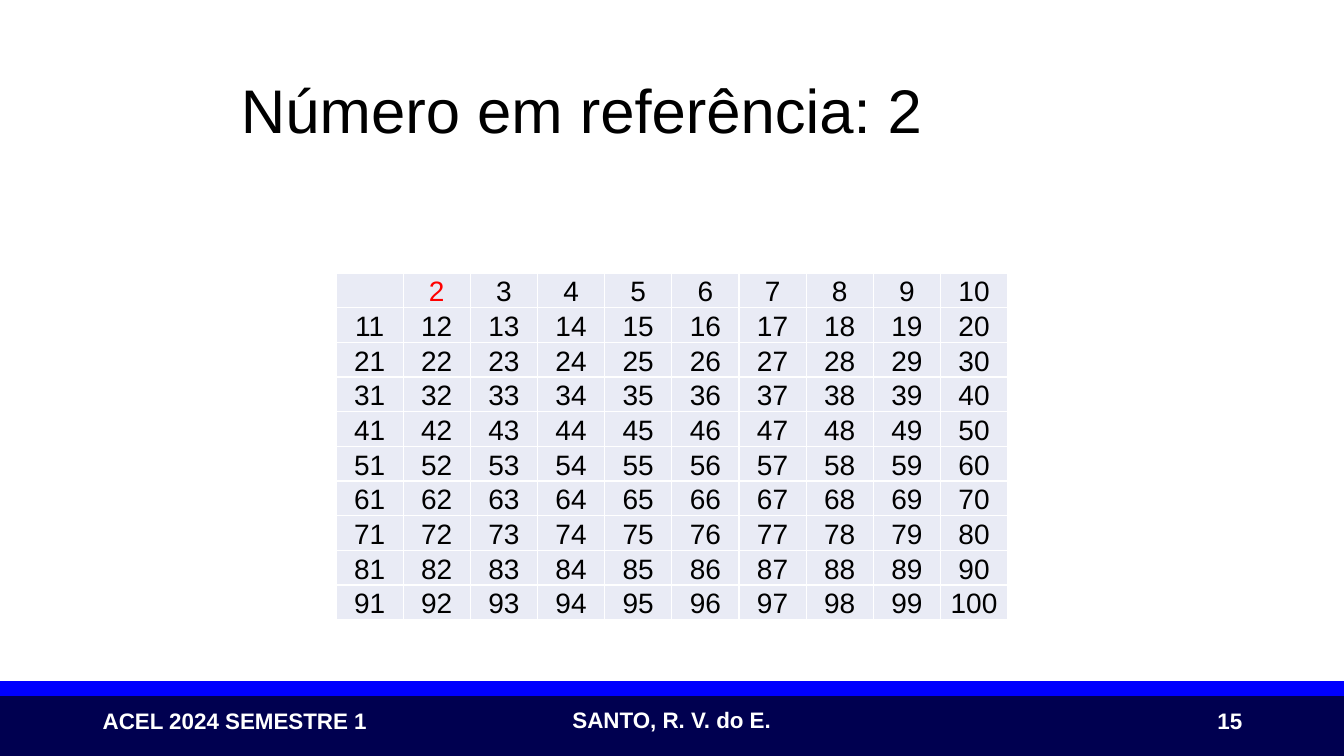
from pptx import Presentation
from pptx.dml.color import RGBColor
from pptx.enum.shapes import MSO_SHAPE
from pptx.enum.text import MSO_ANCHOR as Anchor, MSO_AUTO_SIZE as AutoSize, PP_ALIGN as Align
from pptx.oxml import parse_xml
from pptx.oxml.ns import nsdecls
from pptx.util import Inches, Pt

WIDTH, HEIGHT = 13.33, 7.5
GRID_SIZE = 10
REFERENCE = 2
COLUMN_WIDTH = WIDTH / 20
ROW_HEIGHT = 0.21
BLACK, WHITE, RED = "000000", "FFFFFF", "FF0000"
NAVY, BLUE, PALE = "000050", "0000FF", "E9EBF5"


def color(hex_string):
    return RGBColor.from_string(hex_string)


def write(frame, text, *, size, hex_color, bold=False, align=Align.LEFT, spacing=None):
    paragraph = frame.paragraphs[0]
    paragraph.alignment = align
    if spacing:
        paragraph.line_spacing = spacing
    run = paragraph.add_run()
    run.text = text
    run.font.name = "Arial"
    run.font.size = Pt(size)
    run.font.bold = bold
    run.font.color.rgb = color(hex_color)


def add_band(slide, top, height, hex_color):
    band = slide.shapes.add_shape(
        MSO_SHAPE.RECTANGLE, 0, Inches(top), Inches(WIDTH), Inches(height))
    band.shadow.inherit = False
    band.fill.solid()
    band.fill.fore_color.rgb = color(hex_color)
    band.line.color.rgb = color(hex_color)
    band.line.width = Pt(1)


def add_footer_text(slide, text, left, top, width, height, *, wrap=False, align=Align.LEFT):
    box = slide.shapes.add_textbox(Inches(left), Inches(top), Inches(width), Inches(height))
    frame = box.text_frame
    frame.word_wrap = wrap
    frame.auto_size = AutoSize.NONE if wrap else AutoSize.SHAPE_TO_FIT_TEXT
    frame.vertical_anchor = Anchor.MIDDLE if wrap else Anchor.TOP
    write(frame, text, size=16, hex_color=WHITE, bold=True, align=align)


def add_footer(slide):
    add_band(slide, 6.9, 0.6, NAVY)
    add_band(slide, 6.76, 0.14, BLUE)
    add_footer_text(slide, "ACEL 2024 SEMESTRE 1", 0.92, 6.97, 2.89, 0.37)
    add_footer_text(slide, "SANTO, R. V. do E.", 5.58, 6.96, 2.2, 0.37)
    add_footer_text(slide, "15", 9.42, 6.95, 3, 0.4, wrap=True, align=Align.RIGHT)


def set_title(slide, text):
    title = slide.shapes.title
    title.left, title.top = Inches(2.29), Inches(0.4)
    title.width, title.height = Inches(10.12), Inches(1.45)
    frame = title.text_frame
    frame.word_wrap = True
    frame.vertical_anchor = Anchor.MIDDLE
    write(frame, text, size=44, hex_color=BLACK, spacing=0.9)


def format_cell(cell):
    cell.margin_left = cell.margin_right = cell.margin_top = Inches(0.01)
    cell.margin_bottom = 0
    cell.vertical_anchor = Anchor.BOTTOM
    properties = cell._tc.get_or_add_tcPr()
    for side in "LRTB":
        properties.append(parse_xml(
            f'<a:ln{side} {nsdecls("a")} w="{Pt(1)}"><a:solidFill>'
            f'<a:srgbClr val="{WHITE}"/></a:solidFill></a:ln{side}>'))
    cell.fill.solid()
    cell.fill.fore_color.rgb = color(PALE)


def add_number_grid(slide):
    """Lay out 1 to 100 in rows of ten, with 1 left out and the reference in red."""
    table = slide.shapes.add_table(
        GRID_SIZE, GRID_SIZE, Inches(5 * COLUMN_WIDTH), Inches(2.71),
        Inches(GRID_SIZE * COLUMN_WIDTH), Inches(GRID_SIZE * ROW_HEIGHT)).table
    table.first_row = table.horz_banding = False
    for number, cell in enumerate(table.iter_cells(), start=1):
        format_cell(cell)
        if number > 1:
            write(cell.text_frame, str(number), size=20, align=Align.CENTER,
                  hex_color=RED if number == REFERENCE else BLACK)


def main():
    presentation = Presentation()
    presentation.slide_width, presentation.slide_height = Inches(WIDTH), Inches(HEIGHT)
    title_only = presentation.slide_layouts[5]
    slide = presentation.slides.add_slide(title_only)
    add_footer(slide)
    set_title(slide, f"Número em referência: {REFERENCE}")
    add_number_grid(slide)
    presentation.save("out.pptx")


if __name__ == "__main__":
    main()
